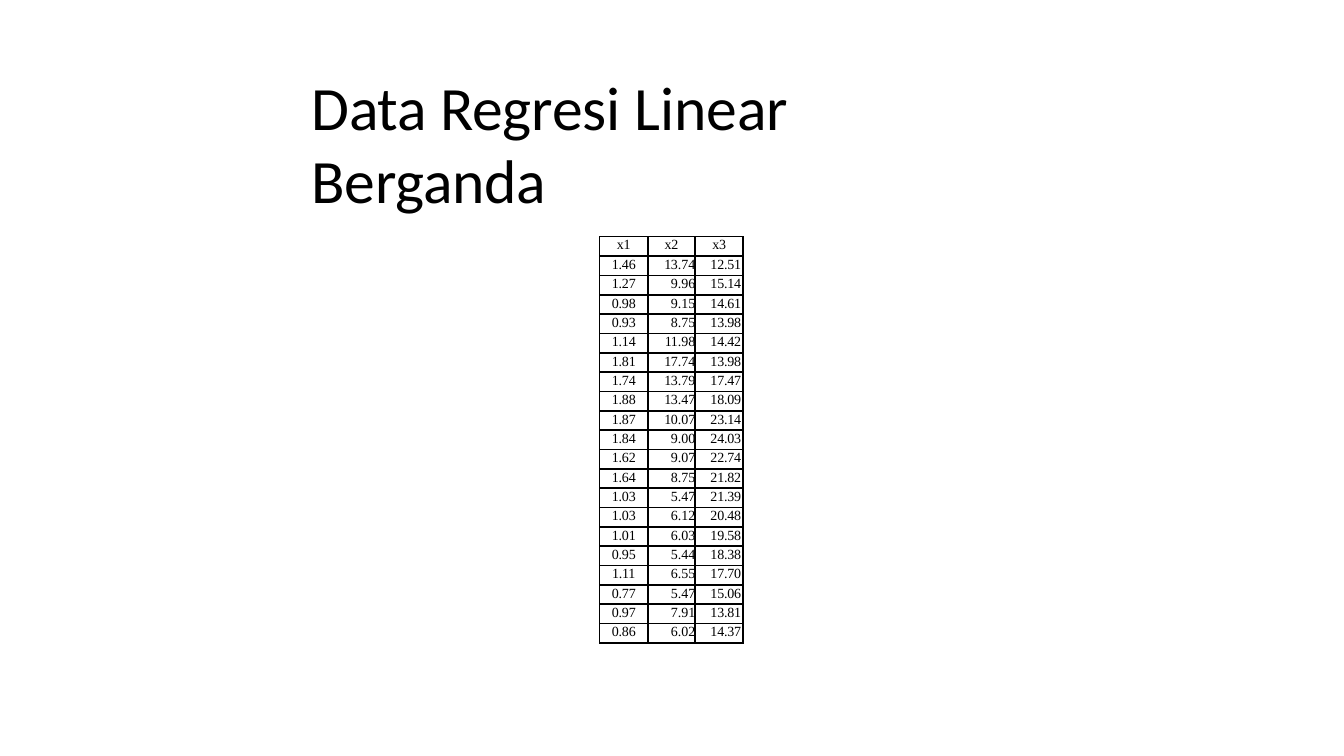
from dataclasses import dataclass

from lxml import etree
from pptx import Presentation
from pptx.dml.color import RGBColor
from pptx.enum.text import MSO_ANCHOR, PP_ALIGN
from pptx.oxml.ns import qn
from pptx.util import Inches, Pt

LEFT, CENTER, RIGHT = PP_ALIGN.LEFT, PP_ALIGN.CENTER, PP_ALIGN.RIGHT
TOP = MSO_ANCHOR.TOP


@dataclass(frozen=True)
class Theme:
    ink: str = "000000"
    title_font: str = "Calibri"
    data_font: str = "Times New Roman"
    title_size: float = 44
    data_size: float = 10
    thin: float = 0.75
    thick: float = 1.5


class SlideBuilder:
    def __init__(self, slide, theme):
        self.slide = slide
        self.theme = theme

    def add_runs(self, paragraph, runs, font, size, align=LEFT, indent=0, before=0):
        """Fill a paragraph with (text, letter spacing in points) runs."""
        paragraph.alignment = align
        paragraph.space_before = Pt(before)
        if indent:
            properties = paragraph._p.get_or_add_pPr()
            properties.set("marL", str(Inches(indent)))
            properties.set("indent", "0")
        for text, spacing in runs:
            run = paragraph.add_run()
            run.text = text
            run.font.name = font
            run.font.size = Pt(size)
            run.font.color.rgb = RGBColor.from_string(self.theme.ink)
            run._r.get_or_add_rPr().set("spc", str(round(spacing * 100)))

    def title(self, runs, left, top, width, height):
        box = self.slide.shapes.add_textbox(
            Inches(left), Inches(top), Inches(width), Inches(height))
        frame = box.text_frame
        frame.word_wrap = True
        frame.vertical_anchor = TOP
        frame.margin_left = frame.margin_right = frame.margin_bottom = 0
        frame.margin_top = Inches(0.01)
        self.add_runs(frame.paragraphs[0], runs, self.theme.title_font,
                      self.theme.title_size, indent=0.01, before=1.1)

    def border(self, cell, side, width):
        line = etree.SubElement(cell._tc.get_or_add_tcPr(), qn(f"a:ln{side}"),
                                w=str(Pt(width)))
        fill = etree.SubElement(line, qn("a:solidFill"))
        etree.SubElement(fill, qn("a:srgbClr"), val=self.theme.ink)

    def cell(self, cell, runs, align, indent, is_header, is_first):
        cell.margin_left = cell.margin_right = cell.margin_bottom = 0
        cell.margin_top = 0 if is_header else Inches(0.01)
        cell.vertical_anchor = TOP
        self.add_runs(cell.text_frame.paragraphs[0], runs, self.theme.data_font,
                      self.theme.data_size, align, indent, 0.3 if is_header else 0.7)
        thin, thick = self.theme.thin, self.theme.thick
        self.border(cell, "L", thin if is_first else thick)
        self.border(cell, "R", thick)
        self.border(cell, "T", thin if is_header else thick)
        self.border(cell, "B", thick)
        cell.fill.background()

    def data_table(self, header, rows, left, top, width, height):
        table = self.slide.shapes.add_table(
            len(rows) + 1, len(header), Inches(left), Inches(top),
            Inches(width), Inches(height)).table
        table.first_row = table.horz_banding = False
        for column in table.columns:
            column.width = Inches(width / len(header))
        for row in table.rows:
            row.height = Inches(height / (len(rows) + 1))
        header_styles = [(CENTER, 0), (CENTER, 0), (LEFT, 0.17)]
        value_styles = [(CENTER, 0), (RIGHT, 0), (LEFT, 0.15)]
        for r, values in enumerate([header, *rows]):
            styles = value_styles if r else header_styles
            for c, (value, (align, indent)) in enumerate(zip(values, styles)):
                if r == 0:
                    runs = [(value, -0.2)]
                elif align == RIGHT:
                    runs = kerned_decimal(value)
                else:
                    runs = [(value, -0.1)]
                self.cell(table.cell(r, c), runs, align, indent, r == 0, c == 0)


def kerned_decimal(value):
    whole, decimals = value.split(".")
    return [(whole, -0.3), (".", 0.1), (decimals[0], -0.3), (decimals[1], 0)]


# Regression data
X1 = """1.46 1.27 0.98 0.93 1.14 1.81 1.74 1.88 1.87 1.84
        1.62 1.64 1.03 1.03 1.01 0.95 1.11 0.77 0.97 0.86""".split()
X2 = """13.74 9.96 9.15 8.75 11.98 17.74 13.79 13.47 10.07 9.00
        9.07 8.75 5.47 6.12 6.03 5.44 6.55 5.47 7.91 6.02""".split()
X3 = """12.51 15.14 14.61 13.98 14.42 13.98 17.47 18.09 23.14 24.03
        22.74 21.82 21.39 20.48 19.58 18.38 17.70 15.06 13.81 14.37""".split()

# Slide
presentation = Presentation()
presentation.slide_width = Inches(13.33)
presentation.slide_height = Inches(7.5)
blank_layout = presentation.slide_layouts[6]
builder = SlideBuilder(presentation.slides.add_slide(blank_layout), Theme())

# Title
builder.title([("Data Regresi ", -0.2), ("Linear ", 0), ("Berganda", -0.2)],
              3.08, 0.67, 7, 0.76)

# Table of the three predictors
builder.data_table(["x1", "x2", "x3"], list(zip(X1, X2, X3)),
                   5.95, 2.35, 1.42, 4.03)

presentation.save("out.pptx")
